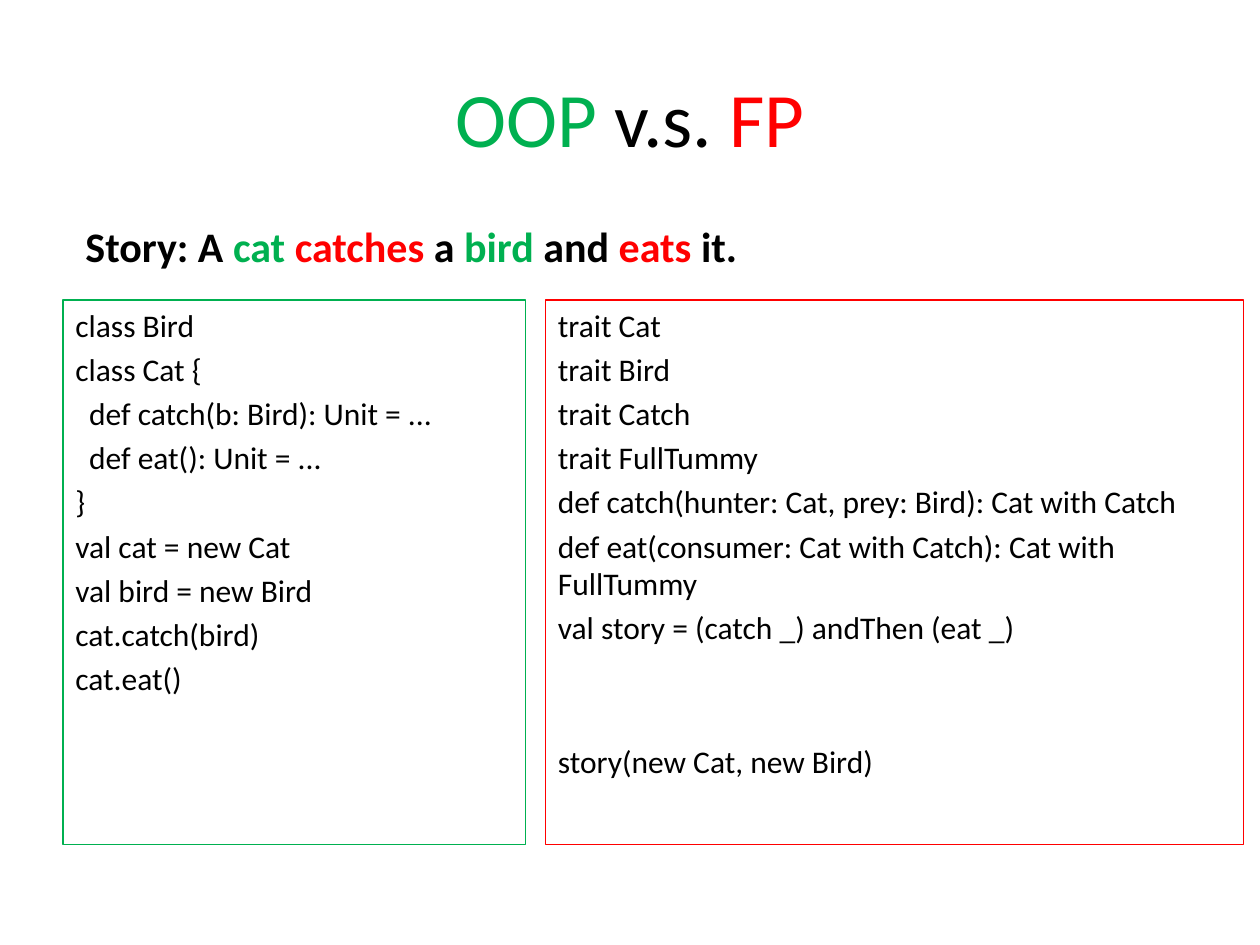
from dataclasses import dataclass

import pptx
import pptx.dml.color
import pptx.enum.shapes
import pptx.enum.text
import pptx.util

WIDTH, HEIGHT = 10, 7.5
FONT = "Calibri"
BLACK, GREEN, RED = "000000", "00B050", "FF0000"
CODE_SIZE = 18
LINE_GAP = 0.2 * CODE_SIZE
LINE_HEIGHT = 1.22 * CODE_SIZE
CODE_INDENT = 0.11
PANEL_TOP, PANEL_HEIGHT = 2.38, 4.32


@dataclass
class Run:
    text: str
    color: str = BLACK


@dataclass
class CodeLine:
    text: str
    level: int = 0
    skipped_lines: int = 0


@dataclass
class Panel:
    left: float
    width: float
    color: str
    lines: list[CodeLine]


TITLE = [Run("OOP ", GREEN), Run("v.s. "), Run("FP", RED)]
STORY = [Run("Story: A "), Run("cat ", GREEN), Run("catches", RED), Run(" a "),
         Run("bird", GREEN), Run(" and "), Run("eats", RED), Run(" it.")]
PANELS = [
    Panel(0.5, 3.67, GREEN, [
        CodeLine("class Bird"),
        CodeLine("class Cat {"),
        CodeLine("def catch(b: Bird): Unit = ...", level=1),
        CodeLine("def eat(): Unit = ...", level=1),
        CodeLine("}"),
        CodeLine("val cat = new Cat"),
        CodeLine("val bird = new Bird"),
        CodeLine("cat.catch(bird)"),
        CodeLine("cat.eat()"),
    ]),
    Panel(4.33, 5.54, RED, [
        CodeLine("trait Cat"),
        CodeLine("trait Bird"),
        CodeLine("trait Catch"),
        CodeLine("trait FullTummy"),
        CodeLine("def catch(hunter: Cat, prey: Bird): Cat with Catch"),
        CodeLine("def eat(consumer: Cat with Catch): Cat with FullTummy"),
        CodeLine("val story = (catch _) andThen (eat _)"),
        CodeLine("story(new Cat, new Bird)", skipped_lines=2),
    ]),
]


def rgb(color: str) -> pptx.dml.color.RGBColor:
    return pptx.dml.color.RGBColor.from_string(color)


def apply(target, values: dict) -> None:
    for name, value in values.items():
        setattr(target, name, value)


def box(left: float, top: float, width: float, height: float) -> dict:
    names = ("left", "top", "width", "height")
    return {name: pptx.util.Inches(value)
            for name, value in zip(names, (left, top, width, height))}


def format_frame(frame, anchor) -> None:
    apply(frame, {"word_wrap": True, "vertical_anchor": anchor,
                  "auto_size": pptx.enum.text.MSO_AUTO_SIZE.NONE})


def write_runs(paragraph, runs: list[Run], size: float, bold: bool = False) -> None:
    for item in runs:
        run = paragraph.add_run()
        run.text = item.text
        apply(run.font, {"name": FONT, "size": pptx.util.Pt(size), "bold": bold})
        run.font.color.rgb = rgb(item.color)


def draw_panel(slide, panel: Panel) -> None:
    shape = slide.shapes.add_shape(
        pptx.enum.shapes.MSO_SHAPE.RECTANGLE,
        **box(panel.left, PANEL_TOP, panel.width, PANEL_HEIGHT))
    shape.shadow.inherit = False
    shape.fill.background()
    shape.line.color.rgb = rgb(panel.color)
    shape.line.width = pptx.util.Pt(0.75)

    frame = shape.text_frame
    format_frame(frame, pptx.enum.text.MSO_ANCHOR.TOP)
    for index, line in enumerate(panel.lines):
        paragraph = frame.add_paragraph() if index else frame.paragraphs[0]
        gap = LINE_GAP + line.skipped_lines * (LINE_HEIGHT + LINE_GAP)
        apply(paragraph, {"alignment": pptx.enum.text.PP_ALIGN.LEFT,
                          "space_before": pptx.util.Pt(gap)})
        if line.level:
            indent = pptx.util.Inches(line.level * CODE_INDENT)
            paragraph._p.get_or_add_pPr().set("marL", str(indent))
        write_runs(paragraph, [Run(line.text)], CODE_SIZE)


def main() -> None:
    presentation = pptx.Presentation()
    apply(presentation, {"slide_width": pptx.util.Inches(WIDTH),
                         "slide_height": pptx.util.Inches(HEIGHT)})
    slide = presentation.slides.add_slide(presentation.slide_layouts[5])

    # Title
    title = slide.shapes.title
    apply(title, box(0.05 * WIDTH, 0.04 * HEIGHT, 0.9 * WIDTH, 1.25))
    format_frame(title.text_frame, pptx.enum.text.MSO_ANCHOR.MIDDLE)
    heading = title.text_frame.paragraphs[0]
    heading.alignment = pptx.enum.text.PP_ALIGN.CENTER
    write_runs(heading, TITLE, 44)

    # Story sentence
    story = slide.shapes.add_textbox(**box(0.58, 0.2 * HEIGHT, 0.9 * WIDTH, 0.7))
    format_frame(story.text_frame, pptx.enum.text.MSO_ANCHOR.BOTTOM)
    write_runs(story.text_frame.paragraphs[0], STORY, 24, bold=True)

    # Code panels
    for panel in PANELS:
        draw_panel(slide, panel)

    presentation.save("out.pptx")


if __name__ == "__main__":
    main()
